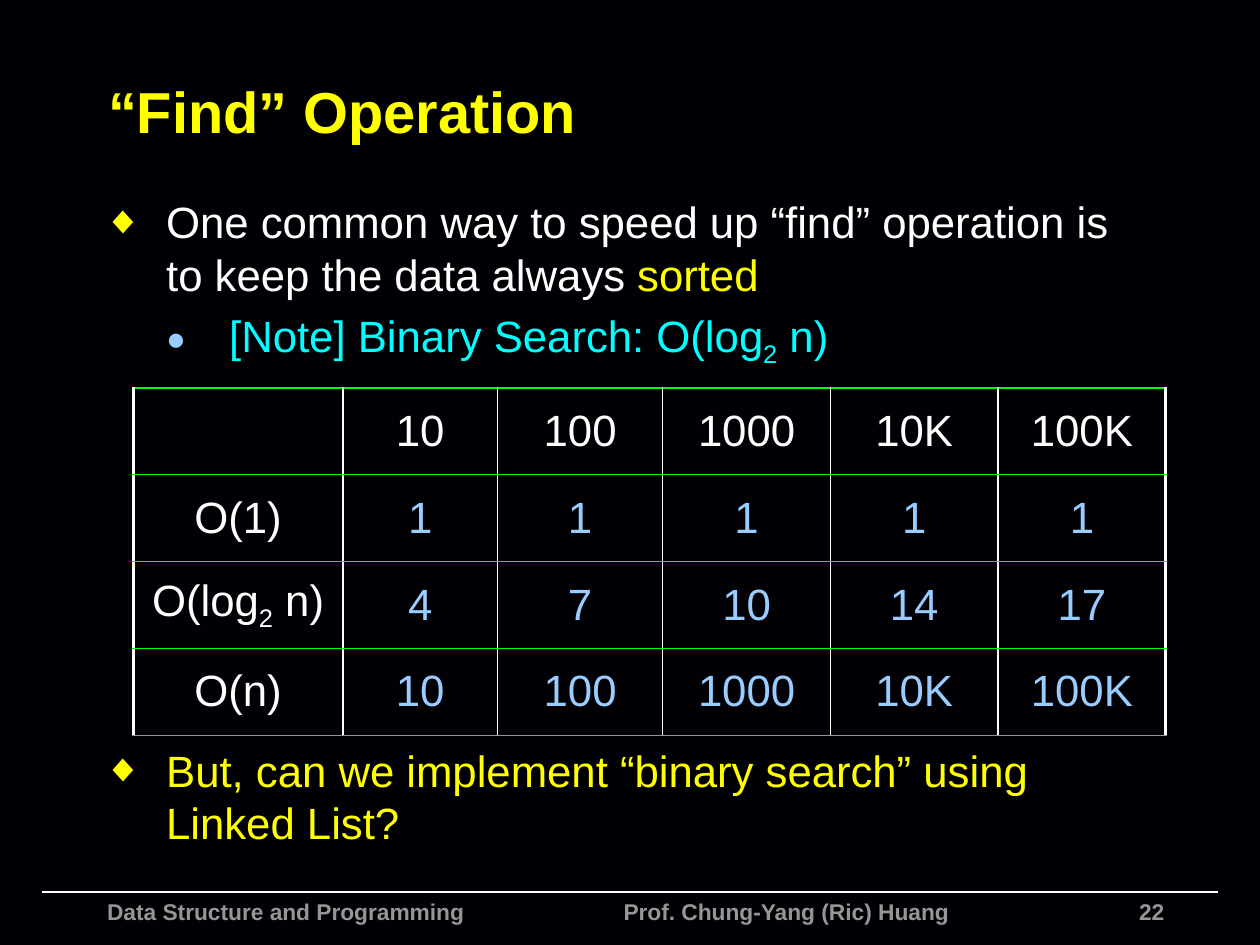
from dataclasses import dataclass

from lxml import etree
from pptx import Presentation
from pptx import util as u
from pptx.dml.color import RGBColor
from pptx.enum import shapes, text
from pptx.oxml.ns import qn

Cm, Pt = u.Cm, u.Pt


@dataclass(frozen=True)
class Theme:
    """Colours, type sizes and font of the slide."""
    back: str = "010004"
    white: str = "FFFFFF"
    yellow: str = "FFFF00"
    cyan: str = "00FFFF"
    blue: str = "99CCFF"
    green: str = "00FF00"
    grey: str = "969696"
    font: str = "Arial"
    title: int = 33
    body: int = 25
    footer: int = 13


T = Theme()
LOG_N = "log", "2", " n)"


def add_runs(p, parts, size, bold=False):
    """Add (text, colour) runs to a paragraph; a third item marks a subscript."""
    for words, color, *sub in parts:
        r = p.add_run()
        r.text = words
        f = r.font
        f.name, f.size, f.bold = T.font, Pt(size), bold
        f.color.rgb = RGBColor.from_string(color)
        if sub:
            r._r.get_or_add_rPr().set("baseline", "-25000")


def log_parts(lead, color):
    """Return the runs of an O(log2 n) expression after its lead text."""
    log, base, rest = LOG_N
    return [(lead + log, color), (base, color, "sub"), (rest, color)]


def add_box(s, box):
    """Add an empty wrapping text box and return its text frame."""
    tf = s.shapes.add_textbox(*map(Cm, box)).text_frame
    tf.word_wrap = True
    return tf


def add_bullet(p, level, char, color, percent):
    """Give a paragraph a hanging indent and a coloured bullet."""
    p.level = level
    p.space_before = Pt(T.body * 0.2)
    pPr = p._p.get_or_add_pPr()
    pPr.set("marL", str(Cm(1.27 * (level + 1))))
    pPr.set("indent", str(Cm(-1.27)))
    clr = etree.SubElement(pPr, qn("a:buClr"))
    etree.SubElement(clr, qn("a:srgbClr"), val=color)
    etree.SubElement(pPr, qn("a:buSzPct"), val=str(percent * 1000))
    etree.SubElement(pPr, qn("a:buFont"), typeface=T.font)
    etree.SubElement(pPr, qn("a:buChar"), char=char)


def add_title(s, box, words):
    """Place the slide title, centred vertically in its box."""
    tf = add_box(s, box)
    tf.vertical_anchor = text.MSO_ANCHOR.MIDDLE
    add_runs(tf.paragraphs[0], [(words, T.yellow)], T.title, True)


def add_bullets(s, box, items):
    """Place a list of (level, runs) items."""
    marks = [("\u25c6", T.yellow, 90), ("\u25cf", T.blue, 75)]
    tf = add_box(s, box)
    for i, (level, parts) in enumerate(items):
        p = tf.add_paragraph() if i else tf.paragraphs[0]
        add_bullet(p, level, *marks[level])
        add_runs(p, parts, T.body)


def set_borders(cell, sides):
    """Draw the (side, colour, points) borders of a cell, in schema order."""
    tcPr = cell._tc.get_or_add_tcPr()
    for i, (side, color, width) in enumerate(sides):
        ln = etree.Element(qn("a:ln" + side), w=str(Pt(width)))
        fill = etree.SubElement(ln, qn("a:solidFill"))
        etree.SubElement(fill, qn("a:srgbClr"), val=color)
        tcPr.insert(i, ln)


def add_cost_table(s, left, top, widths, row_height, rows):
    """Place the table of operation counts for each data size."""
    n_rows, n_cols = len(rows), len(widths)
    tb = s.shapes.add_table(n_rows, n_cols, Cm(left), Cm(top),
                            Cm(sum(widths)), Cm(row_height * n_rows)).table
    tb.first_row = tb.horz_banding = False
    for col, width in zip(tb.columns, widths):
        col.width = Cm(width)
    for i, row in enumerate(rows):
        tb.rows[i].height = Cm(row_height)
        for j, value in enumerate(row):
            cell = tb.cell(i, j)
            cell.fill.background()
            last = i == n_rows - 1
            set_borders(cell, [
                ("L", T.white, 1 if j else 2.25),
                ("R", T.white, 2.25 if j == n_cols - 1 else 1),
                ("T", T.green, 1),
                ("B", T.grey if last else T.green, 0.5 if last else 1)])
            cell.vertical_anchor = text.MSO_ANCHOR.MIDDLE
            cell.margin_left = cell.margin_right = Cm(0.13)
            cell.margin_top = cell.margin_bottom = Cm(0.13)
            p = cell.text_frame.paragraphs[0]
            p.alignment = text.PP_ALIGN.CENTER
            p.space_before = Pt(T.body * 0.2)
            color = T.blue if i and j else T.white
            if value:
                parts = [(value, color)] if isinstance(value, str) else value
                add_runs(p, parts, T.body)


def add_footer(s, left, top, width, items):
    """Place the rule and, below it, (offset, width, alignment, text) items."""
    ln = s.shapes.add_connector(shapes.MSO_CONNECTOR.STRAIGHT, Cm(left),
                                Cm(top), Cm(left + width), Cm(top))
    ln.line.color.rgb = RGBColor.from_string(T.white)
    ln.line.width = Pt(1)
    etree.SubElement(ln._element.spPr, qn("a:effectLst"))
    for offset, item_width, align, words in items:
        p = add_box(s, (left + offset, top, item_width, 1.06)).paragraphs[0]
        p.alignment = align
        add_runs(p, [(words, T.grey)], T.footer, True)


def main():
    """Build and save the slide."""
    prs = Presentation()
    prs.slide_width, prs.slide_height = Cm(25.4), Cm(19.05)
    s = prs.slides.add_slide(prs.slide_layouts[6])
    s.background.fill.solid()
    s.background.fill.fore_color.rgb = RGBColor.from_string(T.back)

    al = text.PP_ALIGN
    add_footer(s, 0.84, 17.98, 23.72, [
        (1.07, 9, al.LEFT, "Data Structure and Programming"),
        (11.48, 8, al.LEFT, "Prof. Chung-Yang (Ric) Huang"),
        (20.88, 2, al.RIGHT, "22")])
    add_title(s, (1.93, 0.94, 22.45, 2.57), "\u201cFind\u201d Operation")
    add_bullets(s, (1.83, 3.81, 21.59, 3.9), [
        (0, [("One common way to speed up \u201cfind\u201d operation is "
              "to keep the data always ", T.white), ("sorted", T.yellow)]),
        (1, log_parts("[Note] Binary Search: O(", T.cyan))])
    add_bullets(s, (1.83, 14.86, 21.59, 2.7), [
        (0, [("But, can we implement \u201cbinary search\u201d using "
              "Linked List?", T.yellow)])])

    sizes = ["10", "100", "1000", "10K", "100K"]
    add_cost_table(s, 2.69, 7.82, [4.22, 3.12, 3.33] + [3.38] * 3, 1.75, [
        [""] + sizes,
        ["O(1)"] + ["1"] * len(sizes),
        [log_parts("O(", T.white), "4", "7", "10", "14", "17"],
        ["O(n)"] + sizes])
    prs.save("out.pptx")


main()
